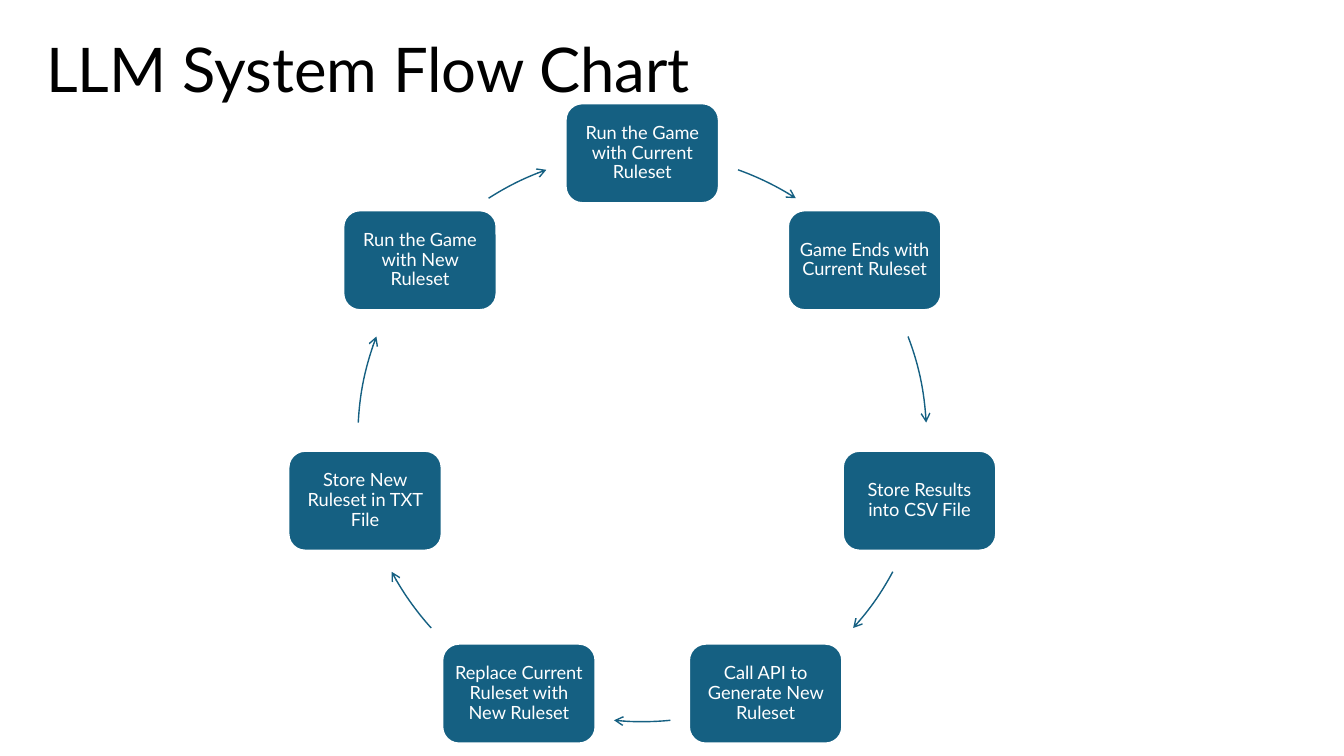
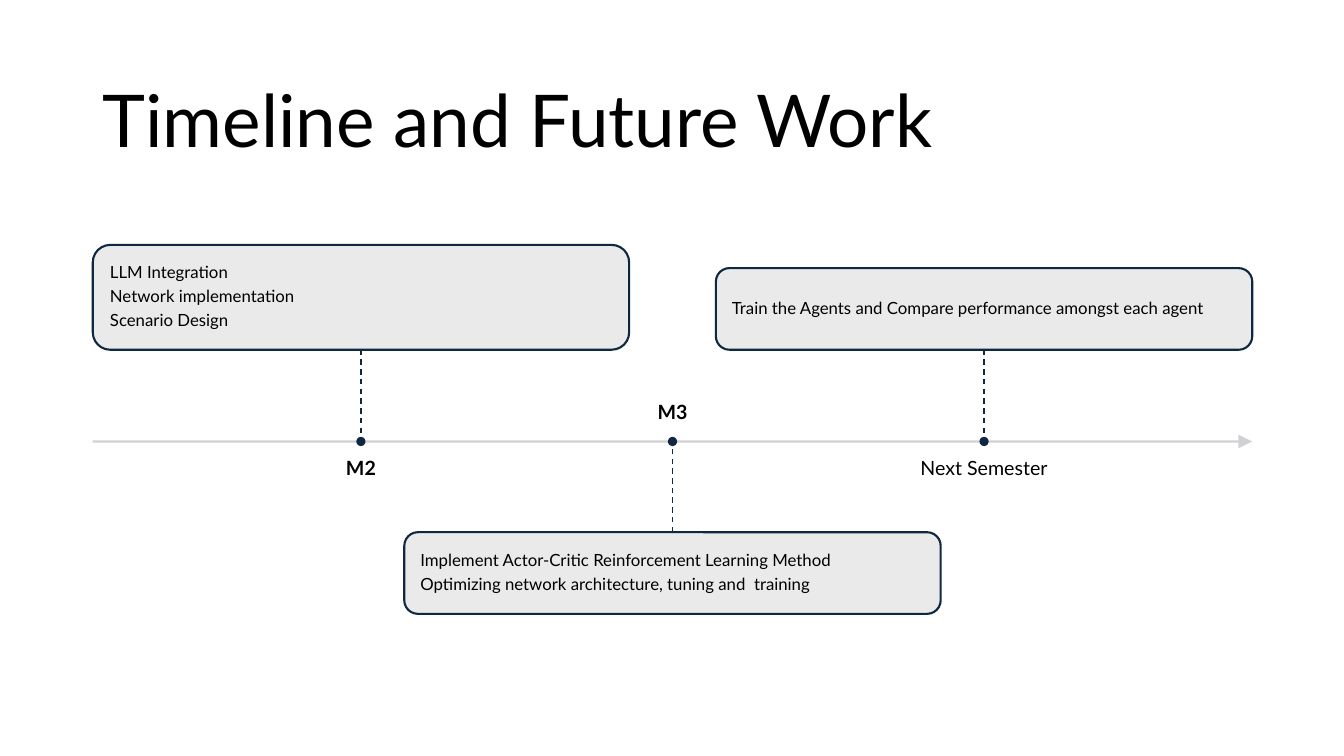
from math import cos, radians, sin

from lxml import etree
from pptx import Presentation
from pptx.dml.color import RGBColor
from pptx.enum.dml import MSO_LINE
from pptx.enum.shapes import MSO_CONNECTOR, MSO_SHAPE
from pptx.enum.text import MSO_ANCHOR, PP_ALIGN
from pptx.oxml.ns import qn
from pptx.util import Inches, Pt

ROUNDED, OVAL, ARC = MSO_SHAPE.ROUNDED_RECTANGLE, MSO_SHAPE.OVAL, MSO_SHAPE.ARC
STRAIGHT = MSO_CONNECTOR.STRAIGHT
TOP, MIDDLE, BOTTOM = MSO_ANCHOR.TOP, MSO_ANCHOR.MIDDLE, MSO_ANCHOR.BOTTOM
LEFT, CENTER = PP_ALIGN.LEFT, PP_ALIGN.CENTER
DASH = MSO_LINE.DASH

FONT = "Lato"
BLACK, WHITE, TEAL = "000000", "FFFFFF", "156082"
NAVY, PALE, GREY = "0E2841", "E8E8E8", "CCCDCF"


def put_text(sp, text, size, color=BLACK, bold=False, align=LEFT,
             anchor=MIDDLE, margins=(0.1, 0.05), after=0.35):
    tf = sp.text_frame
    tf.word_wrap = True
    tf.vertical_anchor = anchor
    tf.margin_left = tf.margin_right = Inches(margins[0])
    tf.margin_top = tf.margin_bottom = Inches(margins[1])
    for i, line in enumerate(text.split("\n")):
        p = tf.add_paragraph() if i else tf.paragraphs[0]
        p.alignment = align
        p.line_spacing = 0.9
        p.space_after = Pt(size * after)
        r = p.add_run()
        r.text = line
        r.font.name = FONT
        r.font.size = Pt(size)
        r.font.bold = bold
        r.font.color.rgb = RGBColor.from_string(color)


def paint(sp, line, width, fill=None, alpha=None, dash=None, head=None,
          head_size="med"):
    if fill:
        sp.fill.solid()
        sp.fill.fore_color.rgb = RGBColor.from_string(fill)
    sp.line.color.rgb = RGBColor.from_string(line)
    sp.line.width = Pt(width)
    if dash:
        sp.line.dash_style = dash
    spPr = sp.element.spPr
    if head:
        etree.SubElement(spPr.find(qn("a:ln")), qn("a:tailEnd"),
                         type=head, w=head_size, len=head_size)
    if alpha:
        color = next(spPr.iter(qn("a:srgbClr")))
        etree.SubElement(color, qn("a:alpha"), val=str(alpha * 1000))
    etree.SubElement(spPr, qn("a:effectLst"))


prs = Presentation()
prs.slide_width, prs.slide_height = Inches(13.33), Inches(7.5)

titles = [
    ("LLM System Flow Chart", 44, 0.36, 0, 1.44),
    ("Timeline and Future Work", 52, 0.92, 0.61, 1.24),
]
slides = []
for text, size, x, y, h in titles:
    s = prs.slides.add_slide(prs.slide_layouts[6])
    tb = s.shapes.add_textbox(Inches(x), Inches(y), Inches(11.5), Inches(h))
    put_text(tb, text, size, after=0)
    slides.append(s)
flow, timeline = slides

CX, CY, RADIUS = 6.37, 4.34, 2.82
NODE_W, NODE_H = 1.52, 0.99
ARC_UNIT = 0.6
steps = [
    ("Run the Game with Current Ruleset", 19.7, 32.7),
    ("Game Ends with Current Ruleset", 69.2, 87),
    ("Store Results into CSV File", 118.2, 132.1),
    ("Call API to Generate New Ruleset", 174.3, 185.7),
    ("Replace Current Ruleset with New Ruleset", 227.9, 241.8),
    ("Store New Ruleset in TXT File", 273, 290.8),
    ("Run the Game with New Ruleset", 327.3, 340.3),
]
for i, (text, start, end) in enumerate(steps):
    a = radians(360 * i / len(steps))
    x, y = CX + RADIUS * sin(a), CY - RADIUS * cos(a)
    node = flow.shapes.add_shape(
        ROUNDED, Inches(x - NODE_W / 2), Inches(y - NODE_H / 2),
        Inches(NODE_W), Inches(NODE_H))
    paint(node, WHITE, 1.5, fill=TEAL)
    put_text(node, text, 13, color=WHITE, align=CENTER, margins=(0.05, 0.05))

    arc = flow.shapes.add_shape(
        ARC, Inches(CX - RADIUS), Inches(CY - RADIUS),
        Inches(2 * RADIUS), Inches(2 * RADIUS))
    for k, angle in enumerate((start, end)):
        arc.adjustments[k] = (angle - 90) % 360 * ARC_UNIT
    arc.fill.background()
    paint(arc, TEAL, 1, head="arrow")

AXIS_Y = 4.38
FIRST_X, PITCH = 3.58, 3.09
CARD_W, LABEL_W, LABEL_H, DOT = 5.32, 4.68, 0.54, 0.07
axis = timeline.shapes.add_connector(
    STRAIGHT, Inches(0.92), Inches(AXIS_Y), Inches(12.42), Inches(AXIS_Y))
paint(axis, GREY, 1.5, alpha=90, head="triangle", head_size="lg")

milestones = [
    ("M2", True, 2.43, 1.04,
     "LLM Integration\nNetwork implementation\nScenario Design"),
    ("M3", True, 5.28, 0.81,
     "Implement Actor-Critic Reinforcement Learning Method\n"
     "Optimizing network architecture, tuning and  training"),
    ("Next Semester", False, 2.66, 0.81,
     "Train the Agents and Compare performance amongst each agent"),
]
for i, (label, bold, y, h, text) in enumerate(milestones):
    x = FIRST_X + i * PITCH
    above = y < AXIS_Y
    card = timeline.shapes.add_shape(
        ROUNDED, Inches(x - CARD_W / 2), Inches(y), Inches(CARD_W), Inches(h))
    paint(card, NAVY, 1.5, fill=PALE, alpha=90)
    put_text(card, text, 12, margins=(0.12, 0.12))

    stem = timeline.shapes.add_connector(
        STRAIGHT, Inches(x), Inches(y), Inches(x), Inches(AXIS_Y))
    stem.begin_connect(card, 2 if above else 0)
    paint(stem, NAVY, 1, dash=DASH)

    dot = timeline.shapes.add_shape(
        OVAL, Inches(x - DOT / 2), Inches(AXIS_Y - DOT / 2),
        Inches(DOT), Inches(DOT))
    paint(dot, NAVY, 1.5, fill=NAVY)

    tb = timeline.shapes.add_textbox(
        Inches(x - LABEL_W / 2), Inches(4.55 if above else 3.66),
        Inches(LABEL_W), Inches(LABEL_H))
    put_text(tb, label, 14, bold=bold, align=CENTER,
             anchor=TOP if above else BOTTOM, margins=(0, 0))

prs.save("out.pptx")
